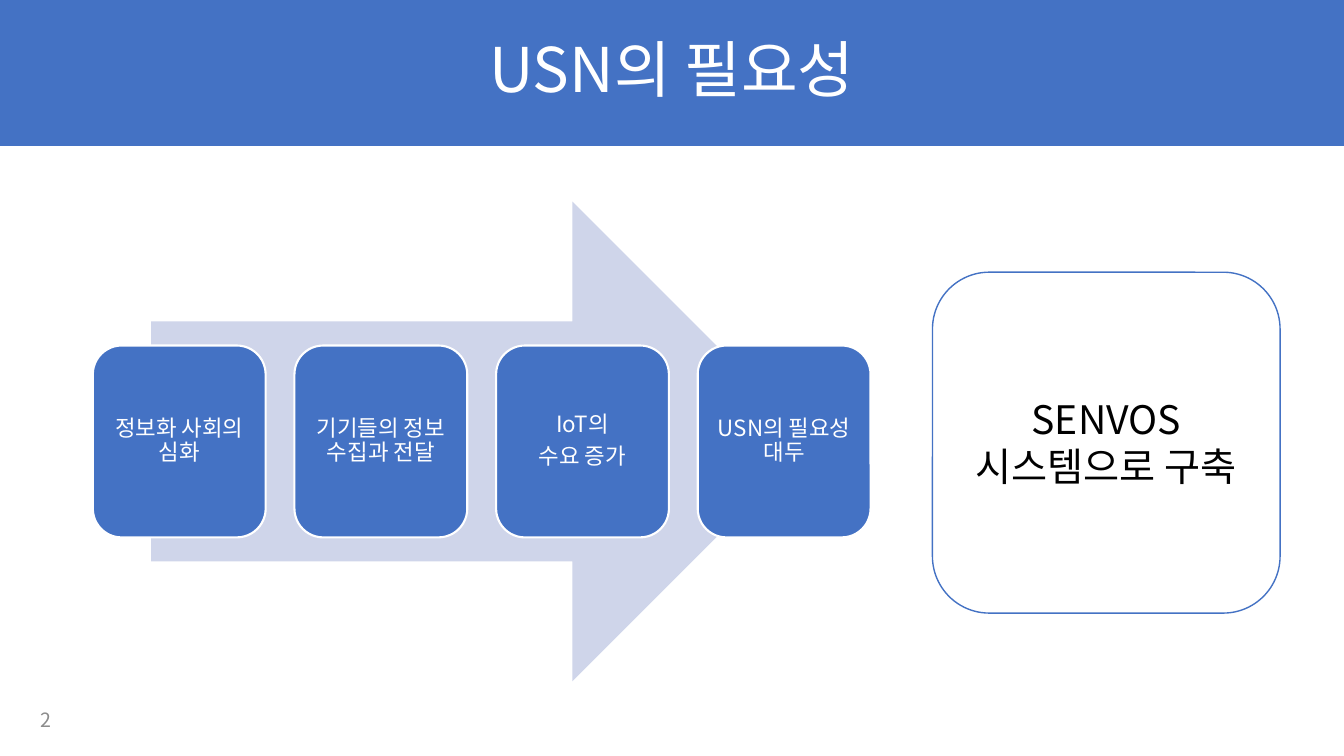
from dataclasses import dataclass

from lxml.etree import SubElement
from pptx import Presentation
from pptx.dml.color import RGBColor
from pptx.enum.shapes import MSO_SHAPE as Shape
from pptx.enum.text import MSO_ANCHOR as Anchor, PP_ALIGN as Align
from pptx.oxml.ns import qn
from pptx.util import Cm, Pt


@dataclass(frozen=True)
class Theme:
    font: str = "Noto Sans CJK KR"
    blue: str = "4472C4"
    pale: str = "CFD5EA"
    white: str = "FFFFFF"
    black: str = "000000"
    gray: str = "8C8C8C"
    title_size: int = 44
    result_size: int = 28
    step_size: int = 16
    number_size: int = 14


THEME = Theme()


def add_block(slide, kind, box, fill, line=None, line_width=1):
    """Add a flat preset shape; box is left, top, width, height in cm."""
    block = slide.shapes.add_shape(kind, *map(Cm, box))
    block.shadow.inherit = False
    block.fill.solid()
    block.fill.fore_color.rgb = RGBColor.from_string(fill)
    if line:
        block.line.color.rgb = RGBColor.from_string(line)
        block.line.width = Pt(line_width)
    else:
        block.line.fill.background()
    return block


def write(block, text, size, color, spacing=1.0, after=0):
    frame = block.text_frame
    frame.text = text
    frame.word_wrap = True
    frame.vertical_anchor = Anchor.MIDDLE
    for paragraph in frame.paragraphs:
        paragraph.alignment = Align.CENTER
        paragraph.line_spacing = spacing
        paragraph.space_after = Pt(after)
        for run in paragraph.runs:
            run.font.size = Pt(size)
            run.font.name = THEME.font
            run.font.color.rgb = RGBColor.from_string(color)
            # Hangul takes its typeface from the East Asian font
            SubElement(run.font._element, qn("a:ea"), typeface=THEME.font)


def add_title(slide, box, title):
    banner = add_block(slide, Shape.RECTANGLE, box, THEME.blue)
    write(banner, title, THEME.title_size, THEME.white, spacing=0.9)


def add_process(slide, box, steps):
    left, top, width, height = box

    # Arrow behind the steps
    arrow_width = width * 0.85
    arrow_left = left + (width - arrow_width) / 2
    add_block(slide, Shape.RIGHT_ARROW, (arrow_left, top, arrow_width, height), THEME.pale)

    # Equal steps, each gap one sixth of a step wide
    step_width = width / (len(steps) + (len(steps) - 1) / 6)
    pitch = step_width * 7 / 6
    step_height = height * 0.4
    step_top = top + (height - step_height) / 2
    for index, label in enumerate(steps):
        step_box = (left + index * pitch, step_top, step_width, step_height)
        step = add_block(slide, Shape.ROUNDED_RECTANGLE, step_box,
                         THEME.blue, THEME.white, 1.5)
        frame = step.text_frame
        frame.margin_left = frame.margin_right = Cm(0.17)
        frame.margin_top = frame.margin_bottom = Cm(0.17)
        write(step, label, THEME.step_size, THEME.white,
              spacing=0.9, after=THEME.step_size * 0.35)


def add_result(slide, box, result):
    card = add_block(slide, Shape.ROUNDED_RECTANGLE, box, THEME.white, THEME.blue)
    write(card, result, THEME.result_size, THEME.black)


def add_page_number(slide, box, number):
    page_number = slide.shapes.add_textbox(*map(Cm, box))
    write(page_number, str(number), THEME.number_size, THEME.gray)


def build_necessity_slide(deck):
    slide = deck.slides.add_slide(deck.slide_layouts[6])
    add_title(slide, (0, 0, 33.87, 3.68), "USN의 필요성")
    add_process(slide, (2.34, 5.08, 19.6, 12.09), [
        "정보화 사회의 심화",
        "기기들의 정보 수집과 전달",
        "IoT의\n수요 증가",
        "USN의 필요성 대두",
    ])
    # The system carries an invented name
    add_result(slide, (23.5, 6.86, 8.76, 8.59), "SENVOS\n시스템으로 구축")
    add_page_number(slide, (0, 17.22, 2.31, 1.83), 2)


deck = Presentation()
deck.slide_width, deck.slide_height = Cm(33.87), Cm(19.05)
build_necessity_slide(deck)
deck.save("out.pptx")
